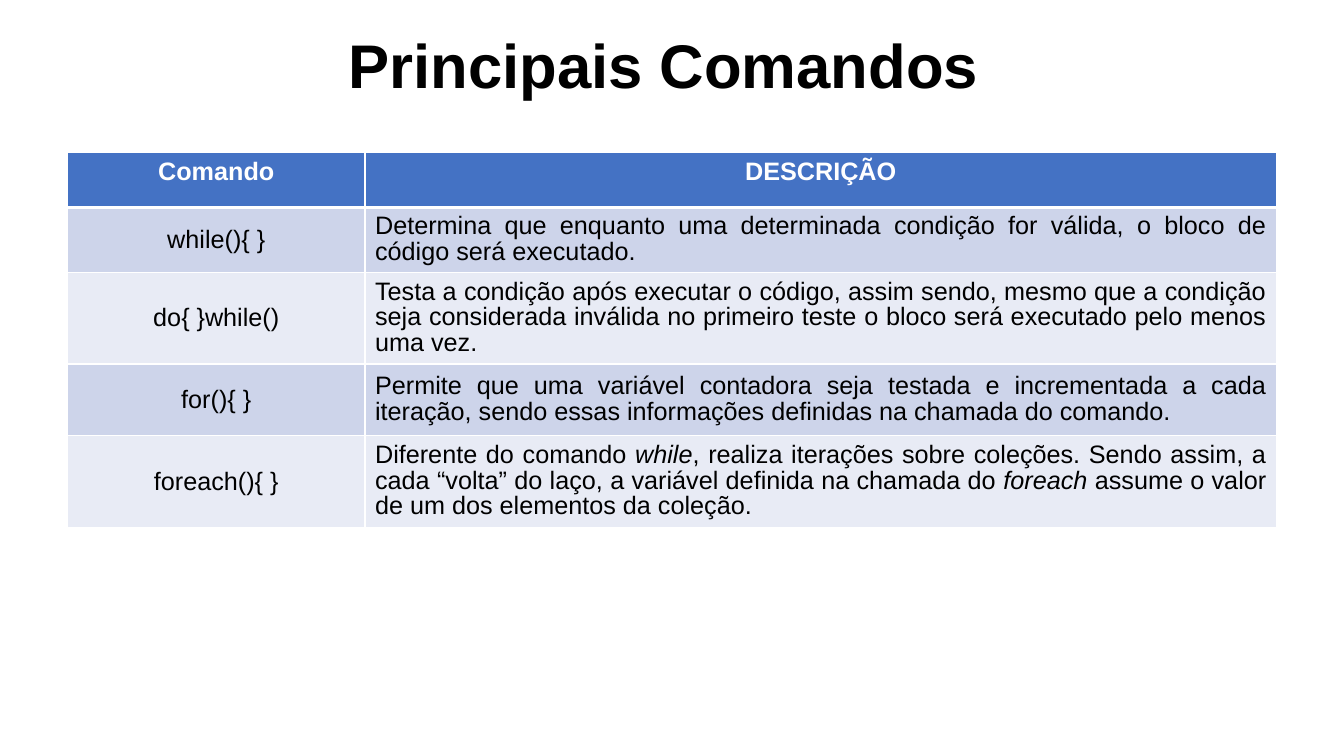
from lxml import etree
from pptx import Presentation
from pptx.dml.color import RGBColor
from pptx.enum import text
from pptx.oxml import ns
from pptx.util import Inches, Pt

BLACK = RGBColor(0x00, 0x00, 0x00)
WHITE = RGBColor(0xFF, 0xFF, 0xFF)
HEADER_BLUE = RGBColor(0x44, 0x72, 0xC4)
BANDS = (RGBColor(0xCD, 0xD4, 0xEA), RGBColor(0xE8, 0xEB, 0xF5))
CENTER, JUSTIFY = text.PP_ALIGN.CENTER, text.PP_ALIGN.JUSTIFY

HEADINGS = ("Comando", "DESCRIÇÃO")
COMMANDS = (
    ("while(){ }", ("Determina que enquanto uma determinada condição for válida, "
                    "o bloco de código será executado.",)),
    ("do{ }while()", ("Testa a condição após executar o código, assim sendo, mesmo que a "
                      "condição seja considerada inválida no primeiro teste o bloco será "
                      "executado pelo menos uma vez.",)),
    ("for(){ }", ("Permite que uma variável contadora seja testada e incrementada a cada "
                  "iteração, sendo essas informações definidas na chamada do comando.",)),
    ("foreach(){ }", ("Diferente do comando ", "while",
                      ", realiza iterações sobre coleções. Sendo assim, a cada “volta” do "
                      "laço, a variável definida na chamada do ", "foreach",
                      " assume o valor de um dos elementos da coleção.")),
)
COLUMN_WIDTHS = (2.95, 9.04)
ROW_HEIGHTS = (0.55, 0.59, 0.86, 0.71, 0.86)


def style_paragraph(paragraph, size, color, bold, align):
    """Set the font and alignment of a whole paragraph."""
    font = paragraph.font
    font.name, font.size, font.bold = "Arial", Pt(size), bold
    font.color.rgb = color
    paragraph.alignment = align


def add_borders(cell, bottom):
    """Give a cell white 1 pt borders, with its own bottom width."""
    properties = cell._tc.get_or_add_tcPr()
    for side, width in (("L", 1), ("R", 1), ("T", 1), ("B", bottom)):
        line = etree.SubElement(properties, ns.qn(f"a:ln{side}"), w=str(Pt(width)))
        fill = etree.SubElement(line, ns.qn("a:solidFill"))
        etree.SubElement(fill, ns.qn("a:srgbClr"), val=str(WHITE))


def fill_cell(cell, pieces, fill, color=BLACK, bold=False, align=CENTER, bottom=1):
    """Write a cell whose every second piece of text is italic."""
    add_borders(cell, bottom)
    cell.fill.solid()
    cell.fill.fore_color.rgb = fill
    paragraph = cell.text_frame.paragraphs[0]
    style_paragraph(paragraph, 18, color, bold, align)
    for index, piece in enumerate(pieces):
        run = paragraph.add_run()
        run.text = piece
        if index % 2:
            run.font.italic = True


def add_title(slide, left, top, width, height):
    """Place the slide title."""
    title = slide.shapes.add_textbox(*map(Inches, (left, top, width, height))).text_frame
    title.word_wrap = True
    title.vertical_anchor = text.MSO_ANCHOR.MIDDLE
    paragraph = title.paragraphs[0]
    paragraph.text = "Principais Comandos "
    paragraph.line_spacing = 0.9
    style_paragraph(paragraph, 44, BLACK, True, CENTER)


def add_commands(slide, left, top, width, height):
    """Place the table of commands and their descriptions."""
    table = slide.shapes.add_table(len(ROW_HEIGHTS), len(COLUMN_WIDTHS),
                                   *map(Inches, (left, top, width, height))).table
    for column, column_width in zip(table.columns, COLUMN_WIDTHS):
        column.width = Inches(column_width)
    for row, row_height in zip(table.rows, ROW_HEIGHTS):
        row.height = Inches(row_height)
    for column, heading in enumerate(HEADINGS):
        fill_cell(table.cell(0, column), (heading,), HEADER_BLUE, WHITE, True, bottom=3)
    for row, (command, description) in enumerate(COMMANDS, 1):
        band = BANDS[(row - 1) % 2]
        command_cell, description_cell = table.cell(row, 0), table.cell(row, 1)
        fill_cell(command_cell, (command,), band)
        fill_cell(description_cell, description, band, align=JUSTIFY)
        for cell in (command_cell, description_cell):
            cell.vertical_anchor = text.MSO_ANCHOR.MIDDLE
        paragraph = description_cell.text_frame.paragraphs[0]
        paragraph.line_spacing = 0.9
        paragraph.space_before = Pt(10)


def main():
    """Build the slide and save it."""
    deck = Presentation()
    deck.slide_width, deck.slide_height = Inches(13.33), Inches(7.5)
    slide = deck.slides.add_slide(deck.slide_layouts[6])
    add_title(slide, 0.92, -0.05, 11.5, 1.45)
    add_commands(slide, 0.67, 1.51, sum(COLUMN_WIDTHS), sum(ROW_HEIGHTS))
    deck.save("out.pptx")


main()
